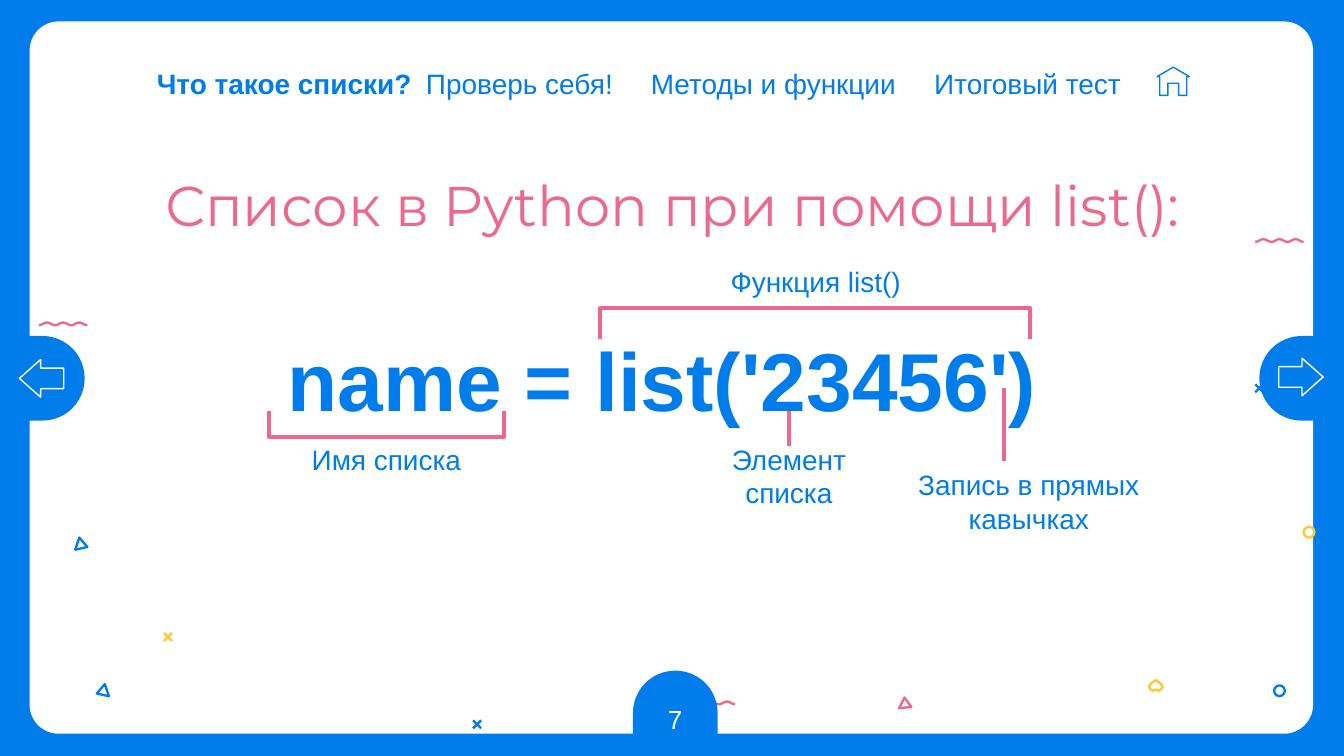
from dataclasses import dataclass
from math import cos, pi

from lxml import etree
from pptx import Presentation
from pptx.dml.color import RGBColor
from pptx.enum import shapes, text
from pptx.oxml.ns import qn
from pptx.util import Inches, Pt

BLUE, PINK, YELLOW, WHITE = "007DEA", "EA698C", "FFC830", "FFFFFF"
S = shapes.MSO_SHAPE


@dataclass
class Label:
    words: str
    x: float
    y: float
    w: float
    bold: bool = False


@dataclass
class Preset:
    kind: int
    x: float
    y: float
    w: float
    h: float
    adj: tuple = ()
    rot: float = 0
    fill: str | None = None
    line: str | None = None
    width: float = 0.75


@dataclass
class Outline:
    points: list[tuple[float, float]]
    color: str
    closed: bool = True
    width: float = 1.25


@dataclass
class Line:
    x1: float
    y1: float
    x2: float
    y2: float
    color: str
    width: float


def rgb(value: str) -> RGBColor:
    return RGBColor.from_string(value)


def paint(sp, fill: str | None, line: str | None, width: float = 0.75) -> None:
    sp.shadow.inherit = False
    if fill:
        sp.fill.solid()
        sp.fill.fore_color.rgb = rgb(fill)
    else:
        sp.fill.background()
    if line:
        sp.line.color.rgb = rgb(line)
        sp.line.width = Pt(width)
    else:
        sp.line.fill.background()


def write(sp, words: str, size: float, color: str, font: str = "Arial",
          bold: bool = False, anchor=text.MSO_ANCHOR.MIDDLE) -> None:
    tf = sp.text_frame
    tf.word_wrap = True
    tf.vertical_anchor = anchor
    tf.margin_left = tf.margin_right = tf.margin_top = tf.margin_bottom = Inches(0.1)
    p = tf.paragraphs[0]
    p.text = words
    p.alignment = text.PP_ALIGN.CENTER
    f = p.runs[0].font
    f.name, f.size, f.bold = font, Pt(size), bold
    f.color.rgb = rgb(color)


def add_preset(s, d: Preset):
    sp = s.shapes.add_shape(d.kind, Inches(d.x), Inches(d.y), Inches(d.w), Inches(d.h))
    for i, value in enumerate(d.adj):
        sp.adjustments[i] = value
    sp.rotation = d.rot
    paint(sp, d.fill, d.line, d.width)
    return sp


def add_outline(s, d: Outline) -> None:
    pts = [(Inches(x), Inches(y)) for x, y in d.points]
    fb = s.shapes.build_freeform(*pts[0])
    fb.add_line_segments(pts[1:], close=d.closed)
    paint(fb.convert_to_shape(), None, d.color, d.width)


def add_line(s, d: Line) -> None:
    cn = s.shapes.add_connector(shapes.MSO_CONNECTOR.STRAIGHT, Inches(d.x1),
                                Inches(d.y1), Inches(d.x2), Inches(d.y2))
    cn.line.color.rgb = rgb(d.color)
    cn.line.width = Pt(d.width)
    etree.SubElement(cn._element.spPr, qn("a:effectLst"))


def add_label(s, d: Label) -> None:
    sp = s.shapes.add_textbox(Inches(d.x), Inches(d.y), Inches(d.w), Inches(0.26))
    write(sp, d.words, 15, BLUE, bold=d.bold)


def add_cross(s, x: float, y: float, color: str, size: float = 0.06) -> None:
    add_outline(s, Outline([(x, y), (x + size, y + size)], color, False))
    add_outline(s, Outline([(x, y + size), (x + size, y)], color, False))


def squiggle(x: float, y: float) -> Outline:
    steps = 36
    return Outline([(x + 0.36 * i / steps, y + 0.01 + 0.01 * cos(6 * pi * i / steps))
                    for i in range(steps + 1)], PINK, False)


CROSSES = [(9.34, 2.86, BLUE), (3.52, 5.36, BLUE), (1.22, 4.71, YELLOW)]
RINGS = [(9.7, 3.92, YELLOW), (9.48, 5.1, BLUE)]
OUTLINES = [
    Outline([(0.81, 5.18), (0.72, 5.16), (0.78, 5.09)], BLUE),
    Outline([(0.56, 4.09), (0.59, 4), (0.65, 4.07)], BLUE),
    Outline([(6.69, 5.27), (6.73, 5.19), (6.78, 5.26)], PINK),
    Outline([(8.6, 5.06), (8.64, 5.09), (8.65, 5.11), (8.64, 5.13), (8.62, 5.14),
             (8.6, 5.13), (8.58, 5.14), (8.56, 5.13), (8.55, 5.11), (8.56, 5.09)], YELLOW),
    squiggle(9.34, 1.78), squiggle(0.29, 2.4), squiggle(5.11, 5.22),
]
HOUSE = Outline([(8.73, 0.5), (8.61, 0.57), (8.63, 0.57), (8.63, 0.71), (8.69, 0.71),
                 (8.69, 0.62), (8.77, 0.62), (8.77, 0.71), (8.83, 0.71), (8.83, 0.57),
                 (8.85, 0.57)], BLUE, width=0.75)
TAB = S.ROUND_2_SAME_RECTANGLE
ARROW_ADJ = (0.545, 0.564)
NAVIGATION = [
    Preset(TAB, 0, 2.5, 0.63, 0.63, (0.5, 0), 90, BLUE),
    Preset(S.UP_ARROW, 0.17, 2.65, 0.28, 0.33, ARROW_ADJ, 270, BLUE, WHITE),
    Preset(TAB, 9.37, 2.5, 0.63, 0.63, (0.5, 0), 270, BLUE),
    Preset(S.UP_ARROW, 9.54, 2.64, 0.28, 0.33, ARROW_ADJ, 90, BLUE, WHITE),
]
BRACKETS = [
    Preset(S.LEFT_BRACKET, 2.78, 2.28, 0.19, 1.75, (0,), 270, None, PINK, 2.25),
    Preset(S.LEFT_BRACKET, 5.95, 0.81, 0.23, 3.2, (0,), 90, None, PINK, 2.25),
]
POINTERS = [Line(5.87, 3.06, 5.87, 3.32, PINK, 2.25),
            Line(7.47, 2.89, 7.47, 3.43, PINK, 2.25)]
MENU = [
    Label("Что такое списки?", 1.04, 0.49, 2.15, True),
    Label("Проверь себя!", 2.91, 0.49, 1.91),
    Label("Методы и функции", 4.68, 0.49, 2.15),
    Label("Итоговый тест", 6.57, 0.49, 2.15),
]
CAPTIONS = [
    Label("Имя списка", 1.92, 3.29, 1.91),
    Label("Функция list()", 4.47, 1.96, 3.2),
    Label("Элемент списка", 5.02, 3.41, 1.7),
    Label("Запись в прямых кавычках", 6.7, 3.6, 1.91),
]


def main() -> None:
    prs = Presentation()
    prs.slide_width = Inches(10)
    prs.slide_height = int(prs.slide_width * 9 / 16)
    s = prs.slides.add_slide(prs.slide_layouts[6])
    s.background.fill.solid()
    s.background.fill.fore_color.rgb = rgb(BLUE)

    add_preset(s, Preset(S.ROUNDED_RECTANGLE, 0.22, 0.16, 9.55, 5.3, (0.041,), fill=WHITE))
    for cross in CROSSES:
        add_cross(s, *cross)
    for x, y, color in RINGS:
        add_preset(s, Preset(S.OVAL, x, y, 0.08, 0.08, line=color, width=1.25))
    for outline in OUTLINES:
        add_outline(s, outline)

    title = s.shapes.add_textbox(Inches(0.79), Inches(1.17), Inches(8.43), Inches(0.63))
    write(title, "Список в Python при помощи list():", 30, PINK, "Montserrat",
          anchor=text.MSO_ANCHOR.TOP)
    for item in NAVIGATION:
        add_preset(s, item)
    for label in MENU:
        add_label(s, label)
    add_outline(s, HOUSE)

    code = add_preset(s, Preset(S.ROUNDED_RECTANGLE, 1.11, 2.31, 7.5, 1.01, (0.5,), fill=WHITE))
    write(code, "name = list('23456')", 44, BLUE, bold=True)
    pPr = code.text_frame.paragraphs[0]._p.get_or_add_pPr()
    pPr.set("marL", str(Inches(0.5)))
    pPr.set("indent", str(Inches(-0.36)))

    for bracket in BRACKETS:
        add_preset(s, bracket)
    for pointer in POINTERS:
        add_line(s, pointer)
    for label in CAPTIONS:
        add_label(s, label)
    number = add_preset(s, Preset(TAB, 4.71, 4.99, 0.63, 0.63, (0.5, 0), fill=BLUE))
    write(number, "7", 14, WHITE)
    prs.save("out.pptx")


if __name__ == "__main__":
    main()
